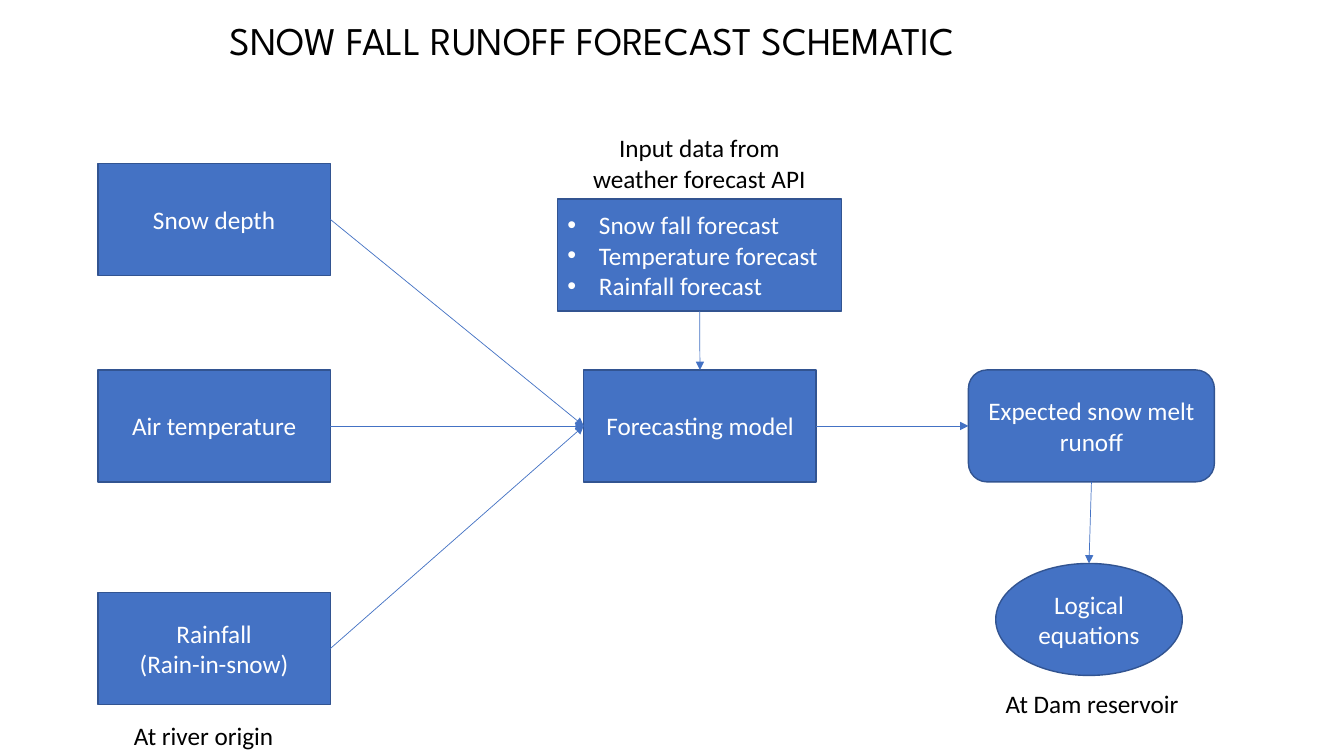
from lxml import etree
from pptx import Presentation
from pptx import util as u
from pptx.dml.color import RGBColor
from pptx.enum import shapes, text
from pptx.oxml.ns import qn

BLUE = RGBColor(0x44, 0x72, 0xC4)
EDGE = RGBColor(0x32, 0x54, 0x91)
WHITE = RGBColor(0xFF, 0xFF, 0xFF)
BLACK = RGBColor(0, 0, 0)

CENTER = text.PP_ALIGN.CENTER
LEFT = text.PP_ALIGN.LEFT
RECT = shapes.MSO_SHAPE.RECTANGLE
ROUNDED = shapes.MSO_SHAPE.ROUNDED_RECTANGLE
OVAL = shapes.MSO_SHAPE.OVAL
TOP_SIDE, LEFT_SIDE, BOTTOM_SIDE, RIGHT_SIDE = range(4)

BOX_WIDTH, BOX_HEIGHT = 166, 80
INPUT_LEFT = 70
MODEL_TOP = 264.25


class Schematic:
    body_font = "Calibri"
    body_size = 18

    def __init__(self, slide):
        self.slide = slide

    def add_words(self, paragraph, words, color, align, font=None, size=None):
        """Fill a paragraph, with a line break at each newline."""
        paragraph.alignment = align
        for number, line in enumerate(words.split("\n")):
            if number:
                paragraph.add_line_break()
            run = paragraph.add_run()
            run.text = line
            run.font.name = font or self.body_font
            run.font.size = u.Pt(size or self.body_size)
            run.font.color.rgb = color

    def node(self, left, top, width, words="", kind=RECT):
        shape = self.slide.shapes.add_shape(
            kind, u.Pt(left), u.Pt(top), u.Pt(width), u.Pt(BOX_HEIGHT))
        shape.shadow.inherit = False
        shape.fill.solid()
        shape.fill.fore_color.rgb = BLUE
        shape.line.color.rgb = EDGE
        shape.line.width = u.Pt(1)
        frame = shape.text_frame
        frame.word_wrap = True
        frame.vertical_anchor = text.MSO_ANCHOR.MIDDLE
        if words:
            self.add_words(frame.paragraphs[0], words, WHITE, CENTER)
        return shape

    def bullet_node(self, left, top, width, items):
        shape = self.node(left, top, width)
        frame = shape.text_frame
        for number, item in enumerate(items):
            paragraph = frame.add_paragraph() if number else frame.paragraphs[0]
            self.add_words(paragraph, item, WHITE, LEFT)
            properties = paragraph._p.get_or_add_pPr()
            properties.set("marL", str(u.Pt(22.5)))
            properties.set("indent", str(u.Pt(-22.5)))
            etree.SubElement(properties, qn("a:buFont"), typeface="Arial")
            etree.SubElement(properties, qn("a:buChar"), char="•")
        return shape

    def label(self, left, top, width, height, words, align=LEFT, font=None, size=None):
        box = self.slide.shapes.add_textbox(
            u.Pt(left), u.Pt(top), u.Pt(width), u.Pt(height))
        box.text_frame.word_wrap = True
        self.add_words(box.text_frame.paragraphs[0], words, BLACK, align, font, size)

    def arrow(self, source, source_side, target, target_side):
        connector = self.slide.shapes.add_connector(
            shapes.MSO_CONNECTOR.STRAIGHT, 0, 0, 0, 0)
        connector.begin_connect(source, source_side)
        connector.end_connect(target, target_side)
        connector.line.color.rgb = BLUE
        connector.line.width = u.Pt(0.5)
        properties = connector._element.spPr
        etree.SubElement(properties.find(qn("a:ln")), qn("a:tailEnd"), type="triangle")
        etree.SubElement(properties, qn("a:effectLst"))


def main():
    deck = Presentation()
    deck.slide_width, deck.slide_height = u.Pt(960), u.Pt(540)
    schematic = Schematic(deck.slides.add_slide(deck.slide_layouts[6]))

    schematic.label(157, 8, 664.5, 41, "SNOW FALL RUNOFF FORECAST SCHEMATIC",
                    font="League Spartan", size=28)

    measurements = [
        schematic.node(INPUT_LEFT, top, BOX_WIDTH, words)
        for top, words in ((116.75, "Snow depth"),
                           (MODEL_TOP, "Air temperature"),
                           (423.25, "Rainfall\n(Rain-in-snow)"))
    ]
    model = schematic.node(417, MODEL_TOP, BOX_WIDTH, "Forecasting model")
    runoff = schematic.node(691.75, MODEL_TOP, 175.75, "Expected snow melt runoff", ROUNDED)
    forecasts = schematic.bullet_node(
        398.25, 142.25, 203,
        ("Snow fall forecast", "Temperature forecast", "Rainfall forecast"))
    equations = schematic.node(711.25, 402.5, 133.25, "Logical equations", OVAL)

    for measurement in measurements:
        schematic.arrow(measurement, RIGHT_SIDE, model, LEFT_SIDE)
    schematic.arrow(forecasts, BOTTOM_SIDE, model, TOP_SIDE)
    schematic.arrow(model, RIGHT_SIDE, runoff, LEFT_SIDE)
    schematic.arrow(runoff, BOTTOM_SIDE, equations, TOP_SIDE)

    schematic.label(408.5, 91.25, 182, 51, "Input data from weather forecast API", CENTER)
    schematic.label(88.5, 511.25, 129, 29, "At river origin")
    schematic.label(711.25, 488.25, 142, 29, "At Dam reservoir")

    deck.save("out.pptx")


if __name__ == "__main__":
    main()
